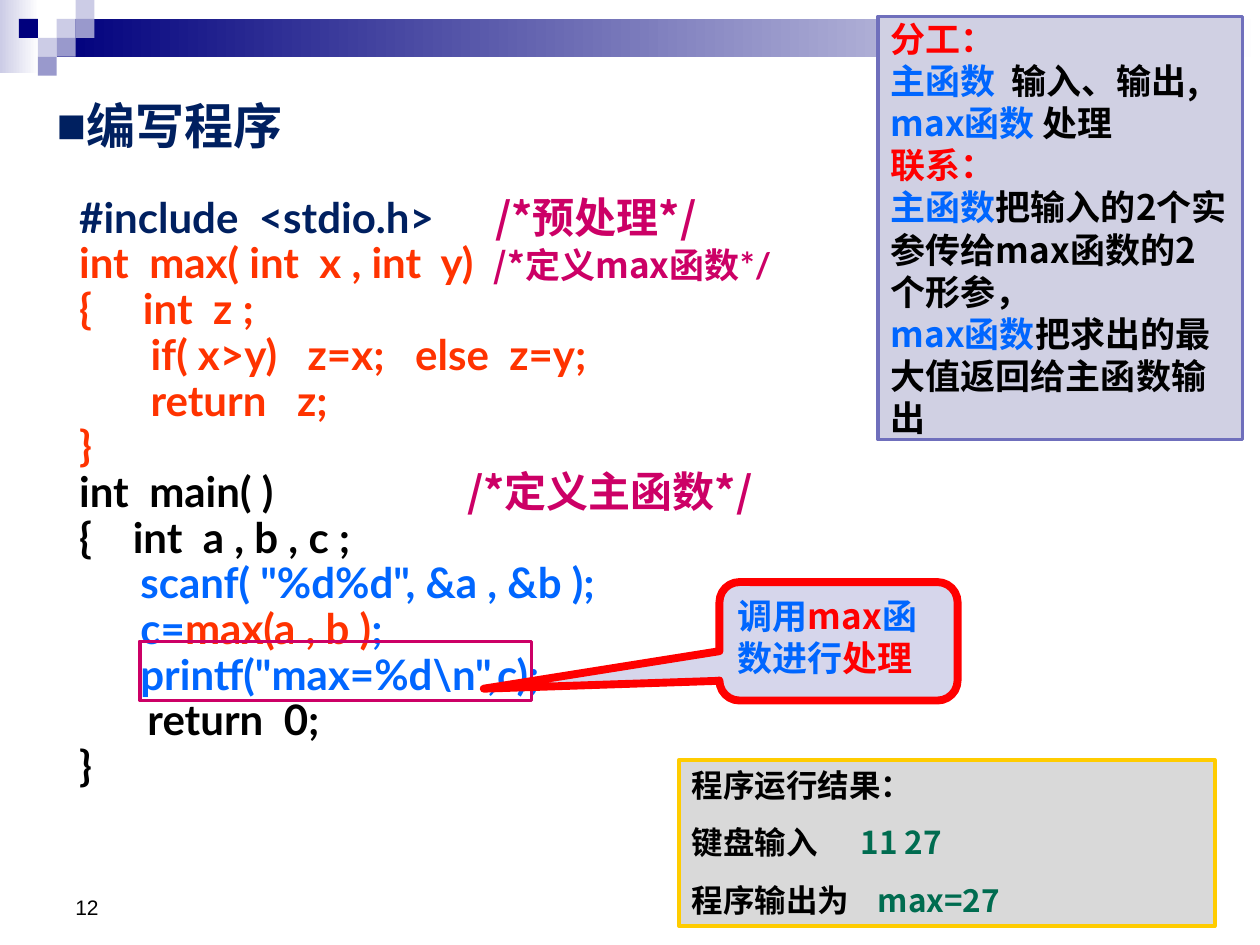
from lxml import etree
from pptx import Presentation
from pptx.dml.color import RGBColor
from pptx.enum.shapes import MSO_SHAPE
from pptx.enum.text import MSO_ANCHOR, PP_ALIGN
from pptx.oxml.ns import qn
from pptx.util import Inches, Pt

RECT = MSO_SHAPE.RECTANGLE
CALLOUT = MSO_SHAPE.ROUNDED_RECTANGULAR_CALLOUT
TOP, MIDDLE, BOTTOM = MSO_ANCHOR.TOP, MSO_ANCHOR.MIDDLE, MSO_ANCHOR.BOTTOM
LATIN, CHINESE = "Lato", "Noto Sans CJK SC"
COLORS = {
    "navy": "00007D", "pale": "CCCCE6", "mid": "9999CC", "white": "FFFFFF",
    "title": "002060", "black": "000000", "blue": "0066FF", "red": "FF0000",
    "orange": "FF3300", "magenta": "CC0066", "green": "006C50",
    "gray": "D9D9D9", "gold": "FFCC00", "callout": "D6D6EB",
    "panel": "D0D0E3", "panel_edge": "6F6FBC",
}
RGB = {name: RGBColor.from_string(value) for name, value in COLORS.items()}

prs = Presentation()
prs.slide_width, prs.slide_height = Inches(10), Inches(7.5)
slide = prs.slides.add_slide(prs.slide_layouts[5])


def add_box(kind, left, top, width, height, fill=None, edge=None, weight=0):
    box = slide.shapes.add_shape(
        kind, Inches(left), Inches(top), Inches(width), Inches(height))
    box.shadow.inherit = False
    if fill:
        box.fill.solid()
        box.fill.fore_color.rgb = RGB[fill]
    else:
        box.fill.background()
    if edge:
        box.line.color.rgb = RGB[edge]
        box.line.width = Pt(weight)
    else:
        box.line.fill.background()
    return box


def write(frame, lines, size, font=CHINESE, anchor=TOP, spacing=None,
          before=0, hanging=0, bold=True):
    frame.word_wrap = True
    frame.vertical_anchor = anchor
    for index, line in enumerate(lines):
        paragraph = frame.paragraphs[0] if index == 0 else frame.add_paragraph()
        paragraph.alignment = PP_ALIGN.LEFT
        if spacing:
            paragraph.line_spacing = Pt(spacing)
        if index:
            paragraph.space_before = Pt(before)
        if hanging:
            properties = paragraph._p.get_or_add_pPr()
            properties.set("marL", str(Inches(hanging)))
            properties.set("indent", str(-Inches(hanging)))
        paragraph.font.size = Pt(size)
        paragraph.font.bold = bold
        for text, color, *special in line:
            run = paragraph.add_run()
            run.text = text
            run.font.color.rgb = RGB[color]
            run.font.name = special[0] if special else font
            if len(special) > 1:
                run.font.size = Pt(special[1])
            east_asian = etree.SubElement(run._r.get_or_add_rPr(), qn("a:ea"))
            east_asian.set("typeface", CHINESE)


for left, top, width, height, start in [
    (0, 0, 0.31, 0.58, "pale"),
    (0.45, 0.15, 9.55, 0.3, "navy"),
]:
    band = add_box(RECT, left, top, width, height)
    band.fill.gradient()
    band.fill.gradient_angle = 0
    for stop, color in zip(band.fill.gradient_stops, (start, "white")):
        stop.color.rgb = RGB[color]

TILE = 0.15
for column, row, color in [
    (3, 1, "pale"), (4, 0, "pale"), (4, 1, "mid"), (2, 2, "pale"),
    (1, 1, "navy"), (3, 2, "mid"), (2, 3, "mid"),
]:
    add_box(RECT, column * TILE, row * TILE, TILE, TILE, color)

title = slide.shapes.title
title.left, title.top = Inches(0.35), Inches(0.68)
title.width, title.height = Inches(5.2), Inches(0.63)
title_properties = title.text_frame.paragraphs[0]._p.get_or_add_pPr()
bullet_color = etree.SubElement(title_properties, qn("a:buClr"))
etree.SubElement(bullet_color, qn("a:srgbClr")).set("val", COLORS["title"])
etree.SubElement(title_properties, qn("a:buFont")).set("typeface", "Arial")
etree.SubElement(title_properties, qn("a:buChar")).set("char", "■")
write(title.text_frame, [[("编写程序", "title")]], 28, anchor=MIDDLE)

code = slide.shapes.add_textbox(
    Inches(0.53), Inches(1.59), Inches(8.58), Inches(5))
write(code.text_frame, [
    [("#include  <stdio.h>      ", "title"), ("/*预处理*/", "magenta", CHINESE)],
    [("int  max( int  x , int  y)  ", "orange"),
     ("/*定义max函数", "magenta", CHINESE, 20), ("*/", "magenta", LATIN, 20)],
    [("{     int  z ;", "orange")],
    [("       if( x>y)   z=x;   else  z=y;", "orange")],
    [("       return   z;", "orange")],
    [("}", "orange")],
    [("int  main( )                   ", "black"),
     ("/*定义主函数*/", "magenta", CHINESE)],
    [("{    int  a , b , c ;", "black")],
    [('      scanf( "%d%d", &a , &b );', "blue")],
    [("      c=", "blue"), ("max(a , b )", "orange"), (";", "blue")],
    [('      printf("max=%d\\n",c);', "blue")],
    [("\t  return  0;", "black")],
    [("}", "black")],
], 24, LATIN, spacing=20.1, before=6, hanging=0.38)

page_number = slide.shapes.add_textbox(
    Inches(0.5), Inches(6.83), Inches(2.33), Inches(0.52))
write(page_number.text_frame, [[("12", "black")]], 12, "Arial", BOTTOM, bold=False)

result = add_box(RECT, 5.39, 6.03, 4.25, 1.32, "gray", "gold", 2.25)
write(result.text_frame, [
    [("程序运行结果：", "black")],
    [("键盘输入      ", "black"), ("11 27", "green")],
    [("程序输出为    ", "black"), ("max=27", "green")],
], 18, spacing=21.6, before=11.2)

add_box(RECT, 1.11, 5.09, 3.11, 0.47, edge="magenta", weight=2)

call_note = add_box(CALLOUT, 5.71, 4.62, 1.89, 0.94, "callout", "red", 4.5)
for index, value in enumerate((-1.49, 0.4, 0.17)):
    call_note.adjustments[index] = value
write(call_note.text_frame, [
    [("调用", "blue"), ("max", "red"), ("函数进行", "blue"), ("处理", "red")],
], 20, spacing=24)

roles = add_box(RECT, 6.97, 0.13, 2.89, 3.36, "panel", "panel_edge", 2)
write(roles.text_frame, [
    [("分工：", "red")],
    [("主函数  ", "blue"), ("输入、输出,", "black")],
    [("max函数 ", "blue"), ("处理", "black")],
    [("联系：", "red")],
    [("主函数", "blue"), ("把输入的2个实参传给max函数的2个形参，", "black")],
    [("max函数", "blue"), ("把求出的最大值返回给主函数输出", "black")],
], 20, anchor=MIDDLE, spacing=24)

prs.save("out.pptx")
